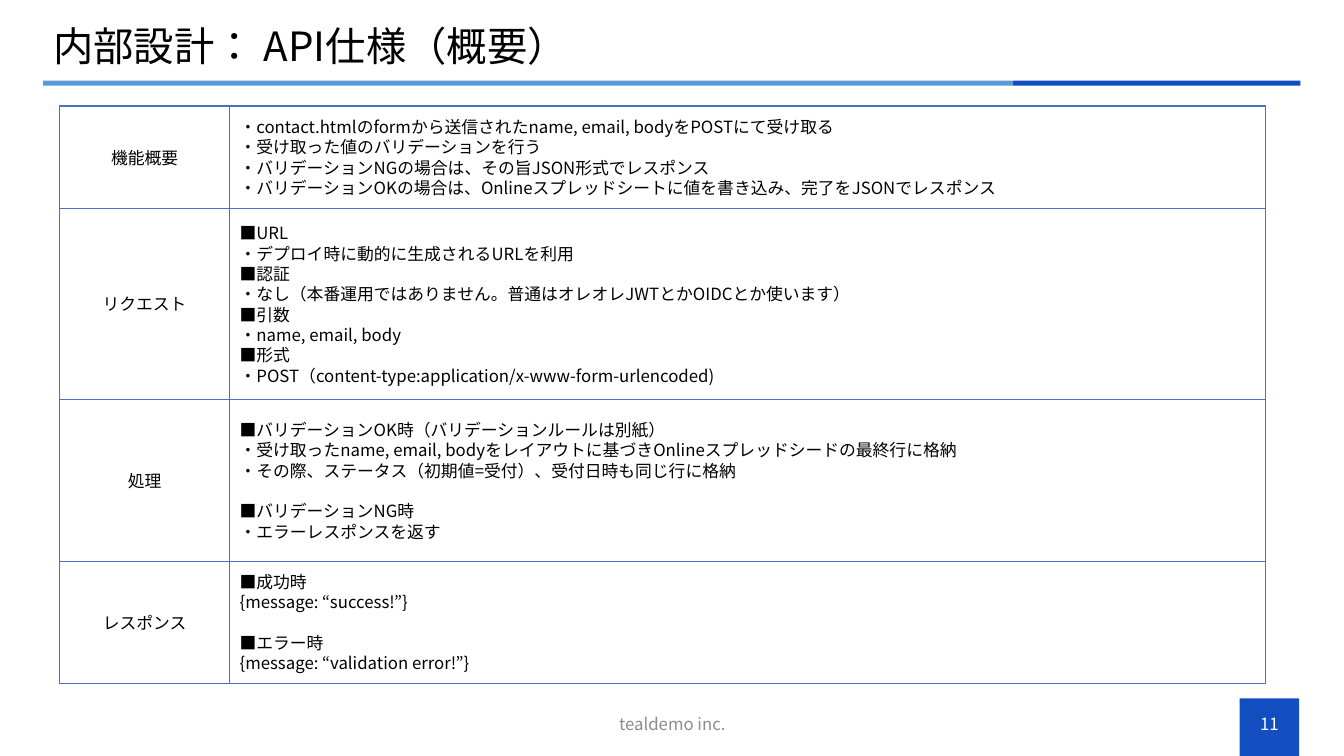
from dataclasses import dataclass

from lxml import etree
from pptx import Presentation
from pptx.dml.color import RGBColor
from pptx.enum.lang import MSO_LANGUAGE_ID
from pptx.enum.shapes import MSO_SHAPE
from pptx.enum.text import MSO_ANCHOR, MSO_AUTO_SIZE, PP_ALIGN
from pptx.oxml.ns import qn
from pptx.util import Cm, Pt

RECTANGLE = MSO_SHAPE.RECTANGLE
MIDDLE = MSO_ANCHOR.MIDDLE
LEFT, CENTER = PP_ALIGN.LEFT, PP_ALIGN.CENTER
NO_AUTOFIT = MSO_AUTO_SIZE.NONE
JAPANESE = MSO_LANGUAGE_ID.JAPANESE

FONT = "Noto Sans CJK JP"
BLACK, WHITE, GRAY = "000000", "FFFFFF", "8C8C8C"
BLUE, LIGHT_BLUE, BORDER = "134EC1", "5B9BD5", "4472C4"
LINE_PITCH = 14.5

TABLE_LEFT, TABLE_TOP = 1.5, 2.67
LABEL_WIDTH, DETAIL_WIDTH = 4.29, 26.11


@dataclass(frozen=True)
class Box:
    """Position and size in centimetres."""
    left: float
    top: float
    width: float
    height: float

    def lengths(self):
        return Cm(self.left), Cm(self.top), Cm(self.width), Cm(self.height)


@dataclass(frozen=True)
class Section:
    """One row of the specification; groups are set apart by a line's height."""
    label: str
    height: float
    groups: list[list[str]]


@dataclass(frozen=True)
class Caption:
    text: str
    box: Box
    color: str


SECTIONS = [
    Section("機能概要", 2.59, [[
        "・contact.htmlのformから送信されたname, email, bodyをPOSTにて受け取る",
        "・受け取った値のバリデーションを行う",
        "・バリデーションNGの場合は、その旨JSON形式でレスポンス",
        "・バリデーションOKの場合は、Onlineスプレッドシートに値を書き込み、完了をJSONでレスポンス",
    ]]),
    Section("リクエスト", 4.81, [[
        "■URL",
        "・デプロイ時に動的に生成されるURLを利用",
        "■認証",
        "・なし（本番運用ではありません。普通はオレオレJWTとかOIDCとか使います）",
        "■引数",
        "・name, email, body",
        "■形式",
        "・POST（content-type:application/x-www-form-urlencoded)",
    ]]),
    Section("処理", 4.08, [
        [
            "■バリデーションOK時（バリデーションルールは別紙）",
            "・受け取ったname, email, bodyをレイアウトに基づきOnlineスプレッドシードの最終行に格納",
            "・その際、ステータス（初期値=受付）、受付日時も同じ行に格納",
        ],
        ["■バリデーションNG時", "・エラーレスポンスを返す"],
    ]),
    Section("レスポンス", 3.07, [
        ["■成功時", "{message: “success!”}"],
        ["■エラー時", "{message: “validation error!”}"],
    ]),
]

BARS = [
    (Box(31.24, 17.6, 1.5, 1.45), BLUE),
    (Box(1.09, 2.03, 24.44, 0.13), LIGHT_BLUE),
    (Box(25.53, 2.03, 7.24, 0.13), BLUE),
]

CAPTIONS = [
    Caption("tealdemo inc.", Box(11.23, 17.73, 11.43, 1.02), GRAY),
    Caption("11", Box(31.24, 17.73, 1.5, 1.02), WHITE),
]


def rgb(color: str) -> RGBColor:
    return RGBColor.from_string(color)


def add_span(para, text: str, size: float, color: str) -> None:
    span = para.add_run()
    span.text = text
    span.font.size = Pt(size)
    span.font.name = FONT
    span.font.language_id = JAPANESE
    span.font.color.rgb = rgb(color)
    east_asian = etree.SubElement(span.font._element, qn("a:ea"))
    east_asian.set("typeface", FONT)


def write_groups(frame, groups: list[list[str]], align, color: str = BLACK) -> None:
    frame.word_wrap = True
    frame.vertical_anchor = MIDDLE
    para = frame.paragraphs[0]
    for group_index, group in enumerate(groups):
        for line_index, line in enumerate(group):
            if group_index or line_index:
                para = frame.add_paragraph()
            para.alignment = align
            para.line_spacing = Pt(LINE_PITCH)
            if group_index and line_index == 0:
                para.space_before = Pt(LINE_PITCH)
            add_span(para, line, 12, color)


def add_rectangle(page, box: Box, fill: str, border: str = ""):
    shape = page.shapes.add_shape(RECTANGLE, *box.lengths())
    shape.shadow.inherit = False
    shape.fill.solid()
    shape.fill.fore_color.rgb = rgb(fill)
    if border:
        shape.line.color.rgb = rgb(border)
        shape.line.width = Pt(1)
    else:
        shape.line.fill.background()
    return shape


def set_title(page, text: str) -> None:
    title = page.shapes.title
    title.left, title.top, title.width, title.height = Box(1.09, 0.53, 31.65, 1.4).lengths()
    frame = title.text_frame
    frame.auto_size = NO_AUTOFIT
    frame.vertical_anchor = MIDDLE
    para = frame.paragraphs[0]
    para.alignment = LEFT
    para.line_spacing = 0.9
    add_span(para, text, 28.8, BLACK)


def add_section(page, section: Section, top: float) -> None:
    label_box = Box(TABLE_LEFT, top, LABEL_WIDTH, section.height)
    detail_box = Box(TABLE_LEFT + LABEL_WIDTH, top, DETAIL_WIDTH, section.height)
    label = add_rectangle(page, label_box, WHITE, BORDER)
    write_groups(label.text_frame, [[section.label]], CENTER)
    detail = add_rectangle(page, detail_box, WHITE, BORDER)
    write_groups(detail.text_frame, section.groups, LEFT)


def main() -> None:
    deck = Presentation()
    deck.slide_width, deck.slide_height = Cm(33.87), Cm(19.05)
    page = deck.slides.add_slide(deck.slide_layouts[5])
    set_title(page, "内部設計： API仕様（概要）")
    for box, color in BARS:
        add_rectangle(page, box, color)
    for caption in CAPTIONS:
        text_box = page.shapes.add_textbox(*caption.box.lengths())
        write_groups(text_box.text_frame, [[caption.text]], CENTER, caption.color)
    top = TABLE_TOP
    for section in SECTIONS:
        add_section(page, section, top)
        top += section.height
    deck.save("out.pptx")


if __name__ == "__main__":
    main()
